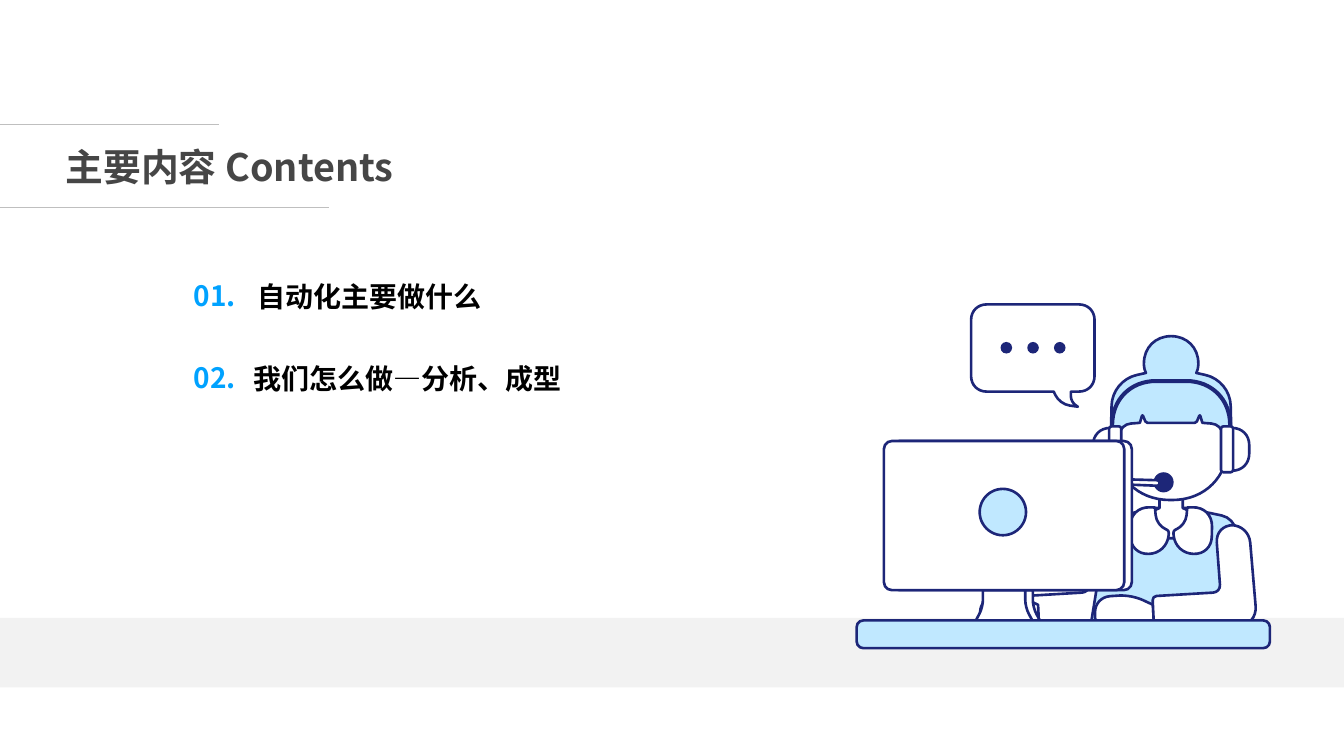
from math import dist

from lxml.etree import SubElement
from pptx import Presentation
from pptx.dml.color import RGBColor
from pptx.enum.shapes import MSO_CONNECTOR, MSO_SHAPE
from pptx.enum.text import MSO_ANCHOR, MSO_AUTO_SIZE, PP_ALIGN
from pptx.oxml.ns import qn
from pptx.util import Cm, Pt

# Content: (text, left edge of the text)
TITLE = "主要内容 Contents"
TOPICS = [("自动化主要做什么", 5.01), ("我们怎么做—分析、成型", 4.94)]

THEME = {
    "font": "Noto Sans CJK SC", "title_size": 54, "topic_size": 40,
    "title": "464646", "text": "000000", "number": "00A2FF",
    "rule": "BFBFBF", "band": "F2F2F2",
    "ink": "1D2678", "white": "FFFFFF", "sky": "C0E8FF",
    "outline": 3.75, "headband": 5.75, "hairline": 0.75,
}

# Page layout, in grid units of 2.54 cm
GRID = 2.54
PAGE_WIDTH, PAGE_HEIGHT = 26.67, 15
FIRST_TOPIC, TOPIC_STEP, TOPIC_HEIGHT = 5.33, 1.63, 1.04
DESK_TOP, SCREEN_TOP, SCREEN_HEIGHT = 12.31, 8.75, 2.96
SCREEN_LEFT, SCREEN_WIDTH, SCREEN_DEPTH = 17.54, 4.77, 0.15
SCREEN_BOTTOM = SCREEN_TOP + SCREEN_HEIGHT
FACE_AXIS, SCREEN_AXIS = 23.24, SCREEN_LEFT + SCREEN_WIDTH / 2
FAR_ARM_SHIFT, FAR_HAND_SHIFT = -2.6, -2.28
BULGE = 0.58  # how far a corner's handles reach towards its vertex

# Right halves of symmetric parts: (distance from axis, y, corner radius)
BODY = [(0.3, 10.08, 0), (1.25, 10.28, 0.25), (1.58, DESK_TOP, 0)]
NECK = [(0.23, 9.49, 0.2), (0.23, 10.08, 0), (0.51, 10.2, 0.1), (0.51, 10.68, 0.35)]
FACE = [(1.13, 7.43, 1.1), (1.13, 9.92, 1.1)]
BUN = [(0.54, 6.67, 0.54), (0.54, 7.32, 0.08), (0.5, 7.4, 0)]
FRINGE = [(1.17, 7.55, 0.5), (1.2, 8.83, 0.05), (1.06, 8.83, 0.05), (1, 8.42, 0.2),
          (0.62, 8.39, 0), (0.57, 8.22, 0.04), (0.5, 8.39, 0.03)]
HEADBAND = [(1.17, 8.54, 0), (1.17, 7.56, 0.87)]
STAND = [(0.42, SCREEN_BOTTOM, 0), (0.42, 12.05, 0.15), (0.56, DESK_TOP, 0)]

# One-sided parts: (x, y, corner radius)
ARM = [(24.12, 10.42, 0.35), (24.22, 11.75, 0.15), (22.87, 11.83, 0.08),
       (22.9, 12.44, 0.05), (24.95, 12.42, 0.4), (24.78, 10.42, 0.35)]
HAND = [(22.88, 12, 0), (22.45, 11.8, 0.25), (21.73, 11.85, 0.3),
        (21.73, 12.45, 0.2), (22.9, 12.44, 0)]
EARCUP = [(22.03, 8.49, 0), (21.69, 8.49, 0.34), (21.69, 9.34, 0.34), (22.03, 9.34, 0)]
COLLAR = [(22.92, 10.07, 0), (22.95, 10.42, 0.2), (23.2, 10.53, 0.05),
          (23.15, 10.98, 0.35), (22.44, 11, 0.35), (22.42, 10.05, 0.4)]
MIC_ARM = [(22.11, 9.17, 0.04), (22.2, 9.17, 0.04), (22.33, 9.51, 0.1),
           (23.01, 9.53, 0.05), (23.01, 9.64, 0.05), (22.27, 9.61, 0.15)]
BUBBLE_TAIL = [(21.25, 7.77, 0), (21.25, 7.98, 0.12), (21.39, 8.07, 0),
               (21.03, 8.02, 0.2), (20.91, 7.77, 0)]
BUBBLE = [(19.27, 6.04, 0.31), (21.72, 6.04, 0.31), (21.72, 7.77, 0.31),
          *BUBBLE_TAIL, (19.27, 7.77, 0.31)]


def grid(value):
    return Cm(value * GRID)


def color(name):
    return RGBColor.from_string(THEME[name])


def shift(corners, distance):
    return [(x + distance, y, radius) for x, y, radius in corners]


def mirror(corners, axis=FACE_AXIS):
    return [(2 * axis - x, y, radius) for x, y, radius in corners]


def symmetric(half, axis=FACE_AXIS):
    right = shift(half, axis)
    return right + mirror(right, axis)[::-1]


def toward(start, end, length):
    """The point at a given length along the way from start to end."""
    part = length / dist(start, end)
    return tuple(a + (b - a) * part for a, b in zip(start, end))


def round_corners(corners):
    """Turn each corner into one point (sharp) or four points of a Bézier arc."""
    steps = []
    for i, (x, y, radius) in enumerate(corners):
        here = (x, y)
        before, after = corners[i - 1][:2], corners[(i + 1) % len(corners)][:2]
        handle = radius * (1 - BULGE)
        arc = [toward(here, before, radius), toward(here, before, handle),
               toward(here, after, handle), toward(here, after, radius)]
        steps.append(arc if radius else [here])
    return steps


def paint(shape, fill, line="ink", width=THEME["outline"]):
    shape.shadow.inherit = False
    if fill:
        shape.fill.solid()
        shape.fill.fore_color.rgb = color(fill)
    else:
        shape.fill.background()
    if line:
        shape.line.color.rgb = color(line)
        shape.line.width = Pt(width)
    else:
        shape.line.fill.background()


def add_preset(page, kind, place, fill, line="ink", radius=0):
    shape = page.shapes.add_shape(kind, *map(grid, place))
    if radius:
        shape.adjustments[0] = radius / min(place[2:])
    paint(shape, fill, line)


def add_panel(page, place, radius, fill="white"):
    add_preset(page, MSO_SHAPE.ROUNDED_RECTANGLE, place, fill, radius=radius)


def add_disc(page, center, diameter, fill, line="ink"):
    x, y = (value - diameter / 2 for value in center)
    add_preset(page, MSO_SHAPE.OVAL, (x, y, diameter, diameter), fill, line)


def add_outline(page, corners, fill="white", closed=True, width=THEME["outline"]):
    steps = round_corners(corners)
    points = [(grid(x), grid(y)) for step in steps for x, y in step]
    builder = page.shapes.build_freeform(*points[0])
    builder.add_line_segments(points, close=closed)
    shape = builder.convert_to_shape()
    # Merge the last three points of each arc into one curve
    track = shape._element.find(".//" + qn("a:path"))
    lines = iter(track.findall(qn("a:lnTo")))
    for step in steps:
        _, *bends = [next(lines) for _ in step]
        if bends:
            curve = SubElement(track, qn("a:cubicBezTo"))
            bends[0].addprevious(curve)
            for bend in bends:
                curve.append(bend[0])
                track.remove(bend)
    paint(shape, fill, width=width)


def write(box, text, size, ink, align=PP_ALIGN.LEFT, spacing=None):
    frame = box.text_frame
    frame.word_wrap = True
    frame.auto_size = MSO_AUTO_SIZE.NONE
    frame.vertical_anchor = MSO_ANCHOR.MIDDLE
    para = frame.paragraphs[0]
    para.alignment, para.line_spacing = align, spacing
    span = para.add_run()
    span.text = text
    span.font.size, span.font.bold, span.font.name = Pt(THEME[size]), True, THEME["font"]
    span.font.color.rgb = color(ink)
    SubElement(span._r.get_or_add_rPr(), qn("a:ea")).set("typeface", THEME["font"])


def add_rule(page, length, top):
    rule = page.shapes.add_connector(MSO_CONNECTOR.STRAIGHT, 0, grid(top), grid(length), grid(top))
    rule.line.color.rgb = color("rule")
    rule.line.width = Pt(THEME["hairline"])
    SubElement(rule._element.spPr, qn("a:effectLst"))


def draw_person(page):
    add_outline(page, shift(ARM, FAR_ARM_SHIFT))
    add_outline(page, shift(HAND, FAR_HAND_SHIFT))
    for half, fill in [(BODY, "sky"), (NECK, "white"), (FACE, "white"), (BUN + FRINGE, "sky")]:
        add_outline(page, symmetric(half), fill)
    # Headset
    add_disc(page, (23.09, 9.57), 0.4, "ink", None)
    add_outline(page, symmetric(HEADBAND), None, closed=False, width=THEME["headband"])
    for cup, pad_left in [(EARCUP, 22.01), (mirror(EARCUP), 24.23)]:
        add_outline(page, cup)
        add_panel(page, (pad_left, 8.46, 0.24, 0.91), 0.05)
    for part in [MIC_ARM, COLLAR, mirror(COLLAR), HAND, ARM]:
        add_outline(page, part)


def draw_desk(page):
    # The depth of stand and screen is the same part, set back to the right
    for depth in (SCREEN_DEPTH, 0):
        add_outline(page, symmetric(STAND, SCREEN_AXIS + depth))
    for depth in (SCREEN_DEPTH, 0):
        add_panel(page, (SCREEN_LEFT + depth, SCREEN_TOP, SCREEN_WIDTH, SCREEN_HEIGHT), 0.16)
    add_disc(page, (19.9, 10.16), 0.92, "sky")
    add_panel(page, (17, DESK_TOP, 8.2, 0.55), 0.13, "sky")


def draw_bubble(page):
    add_outline(page, BUBBLE)
    for i in range(3):
        add_disc(page, (19.97 + 0.53 * i, 6.9), 0.23, "ink", None)


def main():
    deck = Presentation()
    deck.slide_width, deck.slide_height = grid(PAGE_WIDTH), grid(PAGE_HEIGHT)
    page = deck.slides.add_slide(deck.slide_layouts[5])

    # Floor band and illustration
    add_preset(page, MSO_SHAPE.RECTANGLE, (0, 12.26, PAGE_WIDTH, 1.38), "band", None)
    for draw in (draw_person, draw_desk, draw_bubble):
        draw(page)

    # Title between two rules
    title = page.shapes.title
    title.left, title.top, title.width, title.height = map(grid, (0, 2.6, 7.91, 1.39))
    write(title, TITLE, "title_size", "title", PP_ALIGN.RIGHT)
    add_rule(page, 6.52, 4.12)
    add_rule(page, 4.35, 2.47)

    # Numbered topics
    for i, (topic, left) in enumerate(TOPICS):
        top = FIRST_TOPIC + i * TOPIC_STEP
        box = page.shapes.add_textbox(*map(grid, (left, top, 8.32, TOPIC_HEIGHT)))
        write(box, topic, "topic_size", "text", spacing=1.1)
        box = page.shapes.add_textbox(*map(grid, (3.59, top, 1.35, TOPIC_HEIGHT)))
        write(box, f"{i + 1:02}.", "topic_size", "number", PP_ALIGN.CENTER)
    deck.save("out.pptx")


if __name__ == "__main__":
    main()
